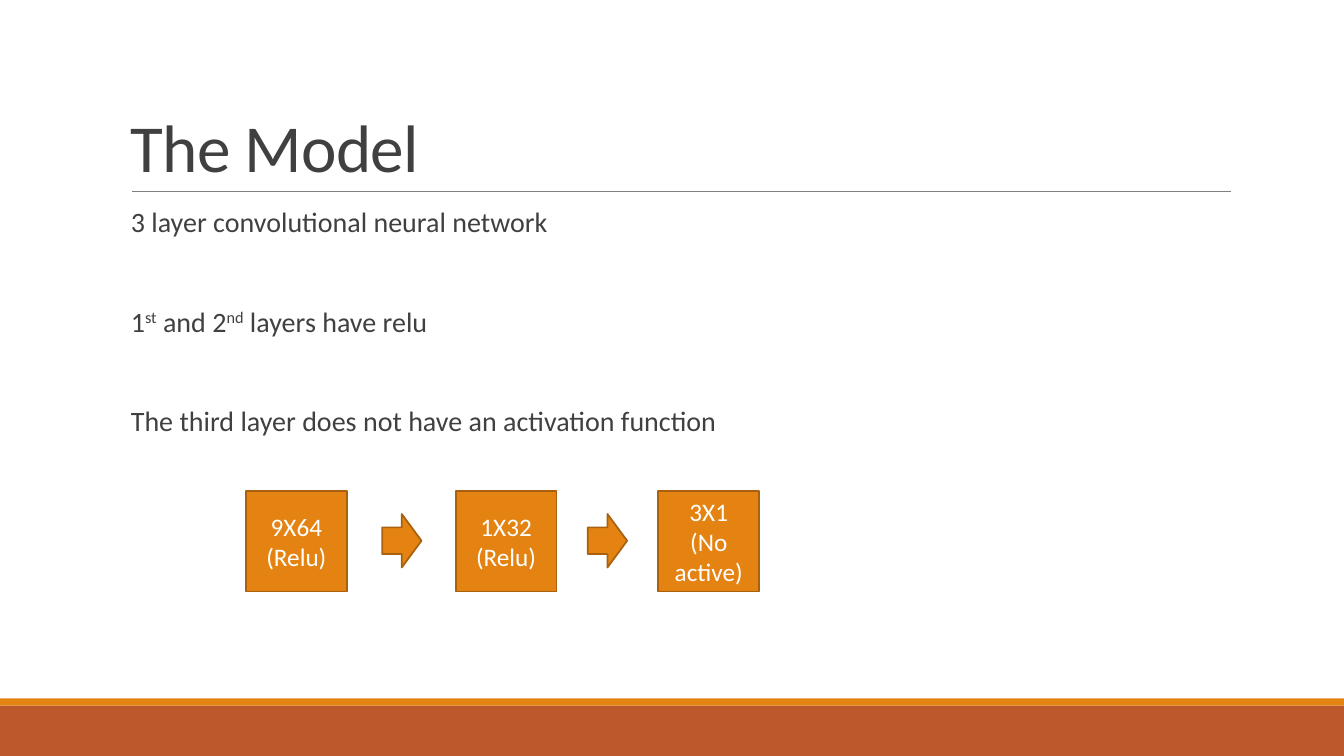
"""Build the slide that outlines the three-layer model."""
from pptx import Presentation
from pptx.dml.color import RGBColor
from pptx.enum import shapes, text
from pptx.oxml import parse_xml
from pptx.oxml.ns import nsdecls
from pptx.util import Inches, Pt

W, H = 13.33, 7.5
FONT = "Calibri"
COLORS = {"orange": "E48312", "edge": "A9610D", "rust": "BD582C",
          "rule": "808080", "text": "404040", "white": "FFFFFF"}
TITLE = "The Model"
POINTS = [
    [("3 layer convolutional neural network", False)],
    [("1", False), ("st", True), (" and 2", False), ("nd", True),
     (" layers have relu", False)],
    [("The third layer does not have an activation function", False)],
]
LAYERS = [(2.44, ["9X64", "(Relu)"]), (4.52, ["1X32", "(Relu)"]),
          (6.53, ["3X1", "(No active)"])]
ARROWS = [3.79, 5.83]
LEFT, TEXT_W = 1.2, 11
BOX, ROW_TOP = 1, 4.87
ARROW_W, ARROW_H, ARROW_TOP = 0.39, 0.53, 5.1
FOOT, STRIPE = 0.5, 0.07


def rgb(name):
    return RGBColor.from_string(COLORS[name])


def style(r, size, color):
    r.font.name, r.font.size = FONT, Pt(size)
    r.font.color.rgb = rgb(color)


def add_block(s, kind, box, fill, edge=None):
    sp = s.shapes.add_shape(kind, *map(Inches, box))
    sp.shadow.inherit = False
    sp.fill.solid()
    sp.fill.fore_color.rgb = rgb(fill)
    if edge:
        sp.line.color.rgb = rgb(edge)
        sp.line.width = Pt(1.25)
    else:
        sp.line.fill.background()
    return sp


def add_text(s, box, anchor):
    tf = s.shapes.add_textbox(*map(Inches, box)).text_frame
    tf.word_wrap = True
    tf.vertical_anchor = anchor
    return tf


def add_frame(s):
    rect = shapes.MSO_SHAPE.RECTANGLE
    add_block(s, rect, (0, H - FOOT, W, FOOT), "rust")
    add_block(s, rect, (0, H - FOOT - STRIPE, W, STRIPE), "orange")
    rule = s.shapes.add_connector(shapes.MSO_CONNECTOR.STRAIGHT,
                                  *map(Inches, (1.31, 1.9, 12.21, 1.9)))
    rule.line.color.rgb = rgb("rule")
    rule.line.width = Pt(0.5)
    rule._element.spPr.append(parse_xml(f"<a:effectLst {nsdecls('a')}/>"))


def add_words(s):
    tf = add_text(s, (LEFT, 0.31, TEXT_W, 1.59), text.MSO_ANCHOR.BOTTOM)
    tf.text = TITLE
    p = tf.paragraphs[0]
    p.line_spacing = 0.85
    style(p.runs[0], 48, "text")
    p.runs[0]._r.get_or_add_rPr().set("spc", "-50")

    tf = add_text(s, (LEFT, 2.02, TEXT_W, 4.4), text.MSO_ANCHOR.TOP)
    for i, point in enumerate(POINTS):
        p = tf.add_paragraph() if i else tf.paragraphs[0]
        p.line_spacing = 0.9
        p.space_before = Pt(49.5 if i else 0)
        for words, raised in point:
            r = p.add_run()
            r.text = words
            style(r, 20, "text")
            if raised:
                r._r.get_or_add_rPr().set("baseline", "30000")


def add_layers(s):
    for x, lines in LAYERS:
        sp = add_block(s, shapes.MSO_SHAPE.RECTANGLE,
                       (x, ROW_TOP, BOX, BOX), "orange", "edge")
        tf = sp.text_frame
        tf.word_wrap = True
        tf.vertical_anchor = text.MSO_ANCHOR.MIDDLE
        tf.text = "\n".join(lines)
        for p in tf.paragraphs:
            p.alignment = text.PP_ALIGN.CENTER
            style(p.runs[0], 18, "white")
    for x in ARROWS:
        add_block(s, shapes.MSO_SHAPE.RIGHT_ARROW,
                  (x, ARROW_TOP, ARROW_W, ARROW_H), "orange", "edge")


def main():
    prs = Presentation()
    prs.slide_width, prs.slide_height = Inches(W), Inches(H)
    s = prs.slides.add_slide(prs.slide_layouts[6])
    add_frame(s)
    add_words(s)
    add_layers(s)
    prs.save("out.pptx")


if __name__ == "__main__":
    main()
